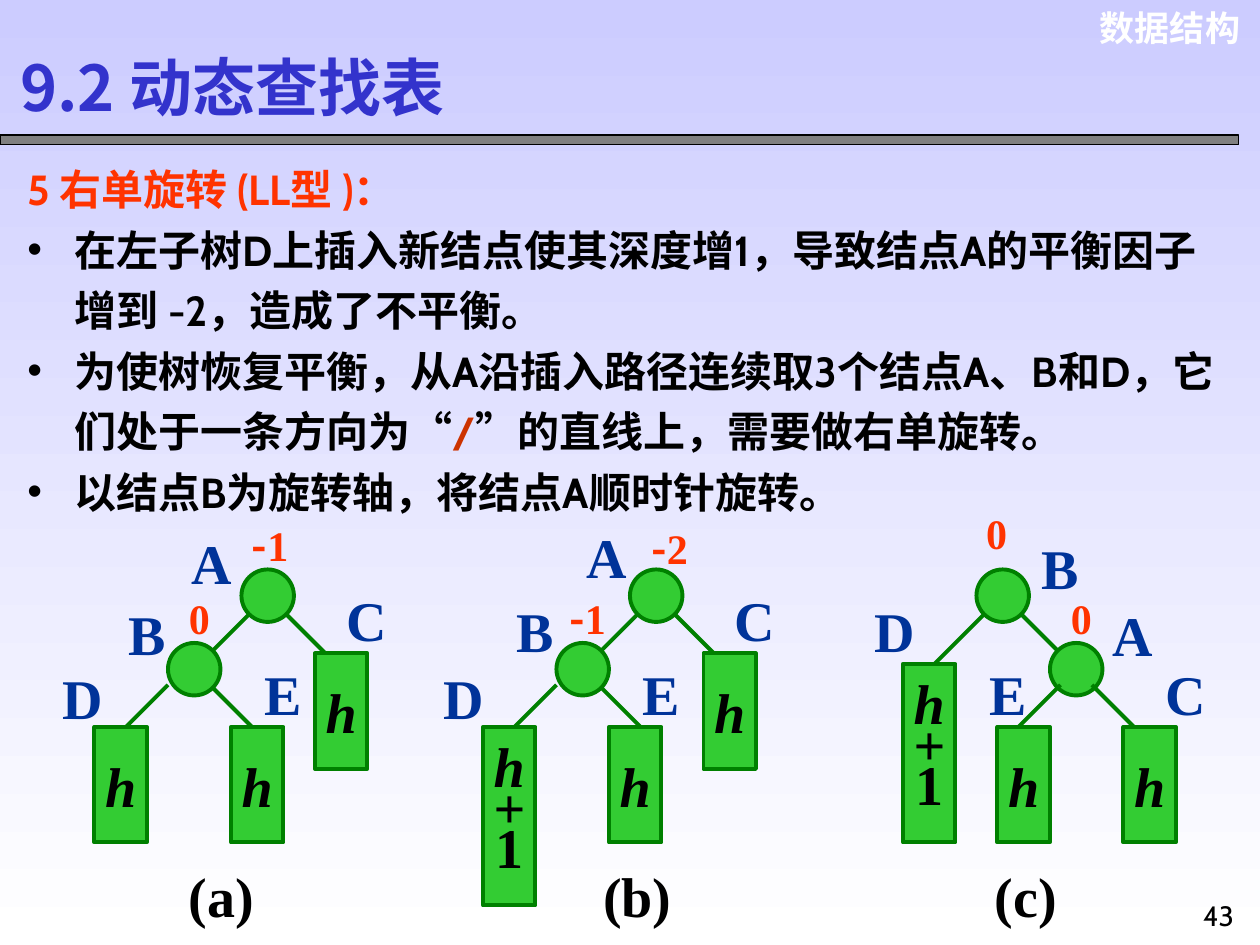
"""Build the slide on the right single rotation (LL type) of a balanced tree."""
from dataclasses import dataclass

from lxml.etree import SubElement
from pptx import Presentation
from pptx.dml.color import RGBColor
from pptx.enum.shapes import MSO_CONNECTOR as Connector, MSO_SHAPE as Preset
from pptx.enum.text import MSO_ANCHOR as Anchor, MSO_AUTO_SIZE as AutoSize, PP_ALIGN as Align
from pptx.oxml.ns import qn
from pptx.util import Cm, Pt


@dataclass(frozen=True)
class Theme:
    sky: str = "CCCCFF"
    white: str = "FFFFFF"
    black: str = "000000"
    bar: str = "808080"
    title: str = "3333CC"
    accent: str = "FF3300"
    slash: str = "CC3300"
    label: str = "003399"
    node: str = "33CC33"
    edge: str = "008000"
    title_size: int = 36
    label_size: int = 32
    body_size: int = 24
    header_size: int = 20
    number_size: int = 16
    serif: str = "Times New Roman"
    sans: str = "Cabin"
    header: str = "Arial"
    chinese: str = "Noto Sans CJK SC"


THEME = Theme()
GRID = 2.54 / 12
TREE_TOP = 11.48
NODE_SIZE = 5
LABEL_WIDTHS = {"A": 1.32, "B": 1.24, "C": 1.32, "D": 1.32, "E": 1.24}

TREES = [
    {
        "caption": ("(a)", 3.56),
        "back_edges": [(25, 3, 20, 8), (26, 3, 32, 9), (16, 11, 11, 16), (20, 11, 26, 17)],
        "nodes": [(23, 0), (16, 7)],
        "front_edges": [],
        "leaves": [(9, 15, "h"), (22, 15, "h"), (30, 8, "h")],
        "labels": [("A", 3.61, 10.52), ("B", 2.34, 11.96), ("C", 6.73, 11.68),
                   ("D", 1.02, 13.26), ("E", 5.08, 13.18)],
        "balances": [("-1", 4.83, 10.34), ("0", 3.56, 11.81)],
    },
    {
        "caption": ("(b)", 11.91),
        "back_edges": [(61, 4, 56, 9), (64, 4, 70, 10), (53, 11, 48, 16), (57, 11, 63, 17)],
        "nodes": [(60, 0), (53, 7)],
        "front_edges": [],
        "leaves": [(46, 15, "h+1"), (58, 15, "h"), (67, 8, "h")],
        "labels": [("A", 11.58, 10.41), ("B", 10.16, 11.91), ("C", 14.55, 11.68),
                   ("D", 8.69, 13.26), ("E", 12.7, 13.18)],
        "balances": [("-2", 12.88, 10.41), ("-1", 11.23, 11.81)],
    },
    {
        "caption": ("(c)", 19.8),
        "back_edges": [(95, 3, 89, 9), (96, 3, 102, 9)],
        "nodes": [(93, 0), (100, 7)],
        "front_edges": [(101, 11, 96, 16), (104, 11, 110, 17)],
        "leaves": [(86, 9, "h+1"), (95, 15, "h"), (107, 15, "h")],
        "labels": [("A", 22.17, 11.99), ("B", 20.75, 10.64), ("C", 23.24, 13.18),
                   ("D", 17.37, 11.91), ("E", 19.69, 13.18)],
        "balances": [("0", 19.63, 10.11), ("0", 21.34, 11.81)],
    },
]

BODY = [
    [("5 右单旋转 (LL型 )：", THEME.accent)],
    [("在左子树D上插入新结点使其深度增1，导致结点A的平衡因子增到 -2，造成了不平衡。", THEME.black)],
    [("为使树恢复平衡，从A沿插入路径连续取3个结点A、B和D，它们处于一条方向为“", THEME.black),
     ("/", THEME.slash), ("”的直线上，需要做右单旋转。", THEME.black)],
    [("以结点B为旋转轴，将结点A顺时针旋转。", THEME.black)],
]


def rgb(code):
    """Turn a hex code into a colour."""
    return RGBColor.from_string(code)


def add_run(paragraph, text, size, color, face, bold=True, italic=False):
    """Append one formatted run."""
    run = paragraph.add_run()
    run.text = text
    font = run.font
    font.size, font.name, font.bold, font.italic = Pt(size), face, bold, italic
    font.color.rgb = rgb(color)
    SubElement(run._r.get_or_add_rPr(), qn("a:ea"), typeface=THEME.chinese)


def add_text(slide, x, y, width, height, pieces, size, color, align=Align.LEFT, bold=True):
    """Add a one-line text box made of (text, face) pieces."""
    frame = slide.shapes.add_textbox(Cm(x), Cm(y), Cm(width), Cm(height)).text_frame
    frame.word_wrap = True
    line = frame.paragraphs[0]
    line.alignment = align
    for text, face in pieces:
        add_run(line, text, size, color, face, bold)


def add_solid(slide, preset, box, fill, outline, weight):
    """Add a filled and outlined preset shape."""
    solid = slide.shapes.add_shape(preset, *[Cm(length) for length in box])
    solid.shadow.inherit = False
    solid.fill.solid()
    solid.fill.fore_color.rgb = rgb(fill)
    solid.line.color.rgb = rgb(outline)
    solid.line.width = Pt(weight)
    return solid


def add_edge(slide, x1, y1, x2, y2):
    """Draw a tree edge between two grid points."""
    ends = [Cm(x1 * GRID), Cm(TREE_TOP + y1 * GRID), Cm(x2 * GRID), Cm(TREE_TOP + y2 * GRID)]
    edge = slide.shapes.add_connector(Connector.STRAIGHT, *ends)
    edge.line.color.rgb = rgb(THEME.edge)
    edge.line.width = Pt(2.25)
    SubElement(edge._element.spPr, qn("a:effectLst"))


def add_tree_part(slide, preset, x, y, height):
    """Add a node or leaf at a grid point."""
    box = (x * GRID, TREE_TOP + y * GRID, NODE_SIZE * GRID, height * GRID)
    return add_solid(slide, preset, box, THEME.node, THEME.edge, 2.25)


def add_leaf(slide, x, y, depth):
    """Add a subtree box with its depth stacked one symbol to a line."""
    leaf = add_tree_part(slide, Preset.RECTANGLE, x, y, 17 if len(depth) > 1 else 11)
    frame = leaf.text_frame
    frame.word_wrap = False
    frame.vertical_anchor = Anchor.MIDDLE
    for index, symbol in enumerate(depth):
        line = frame.add_paragraph() if index else frame.paragraphs[0]
        line.alignment = Align.CENTER
        if len(depth) > 1:
            line.line_spacing = 0.6
        add_run(line, symbol, THEME.label_size, THEME.black, THEME.serif, italic=symbol != "1")


def add_tree(slide, tree):
    """Draw one tree with its labels, balance factors and caption."""
    for edge in tree["back_edges"]:
        add_edge(slide, *edge)
    for x, y in tree["nodes"]:
        add_tree_part(slide, Preset.OVAL, x, y, NODE_SIZE)
    for edge in tree["front_edges"]:
        add_edge(slide, *edge)
    for leaf in tree["leaves"]:
        add_leaf(slide, *leaf)
    for name, x, y in tree["labels"]:
        add_text(slide, x, y, LABEL_WIDTHS[name], 1.63, [(name, THEME.serif)],
                 THEME.label_size, THEME.label)
    for factor, x, y in tree["balances"]:
        pieces = [(sign, THEME.chinese if sign == "-" else THEME.serif) for sign in factor]
        add_text(slide, x, y, 0.91 if len(factor) == 1 else 1.6, 1.27, pieces,
                 THEME.body_size, THEME.accent)
    caption, x = tree["caption"]
    add_text(slide, x, 17.25, 2.2, 1.63, [(caption, THEME.serif)], THEME.label_size, THEME.black)


def place(holder, x, y, width, height):
    """Move a placeholder and return its top-anchored text frame."""
    holder.left, holder.top, holder.width, holder.height = Cm(x), Cm(y), Cm(width), Cm(height)
    frame = holder.text_frame
    frame.auto_size = AutoSize.NONE
    frame.word_wrap = True
    frame.vertical_anchor = Anchor.TOP
    return frame


def fill_body(frame):
    """Write the heading and the bulleted steps."""
    for index, pieces in enumerate(BODY):
        line = frame.add_paragraph() if index else frame.paragraphs[0]
        line.line_spacing, line.space_before = 1.2, Pt(0)
        props = line._p.get_or_add_pPr()
        props.set("marL", str(Cm(0.95)))
        props.set("indent", str(Cm(-0.95)))
        if index:
            SubElement(SubElement(props, qn("a:buClr")), qn("a:srgbClr"), val=THEME.black)
            SubElement(props, qn("a:buFont"), typeface=THEME.header)
            SubElement(props, qn("a:buChar"), char="•")
        else:
            SubElement(props, qn("a:buNone"))
        for text, color in pieces:
            add_run(line, text, THEME.body_size, color, THEME.sans)


def paint_background(slide):
    """Fill the background with a vertical gradient."""
    fill = slide.background.fill
    fill.gradient()
    fill.gradient_angle = 270
    for stop, color in zip(fill.gradient_stops, (THEME.sky, THEME.white)):
        stop.color.rgb = rgb(color)


def main():
    """Build and save the slide."""
    deck = Presentation()
    deck.slide_width, deck.slide_height = Cm(25.4), Cm(19.05)
    slide = deck.slides.add_slide(deck.slide_layouts[1])
    paint_background(slide)
    add_text(slide, 21.77, 0, 3.48, 1.12, [("数据结构", THEME.header)],
             THEME.header_size, THEME.white, Align.RIGHT)
    add_solid(slide, Preset.RECTANGLE, (0, 2.72, 24.97, 0.2), THEME.bar, THEME.black, 0.75)
    heading = place(slide.shapes.title, 0.15, 0.86, 10, 3.3).paragraphs[0]
    heading.alignment = Align.LEFT
    add_run(heading, "9.2 动态查找表", THEME.title_size, THEME.title, THEME.chinese)
    fill_body(place(slide.placeholders[1], 0.3, 2.97, 24.82, 7.98))
    for tree in TREES:
        add_tree(slide, tree)
    add_text(slide, 23.93, 17.98, 1.27, 1.07, [("43", THEME.sans)],
             THEME.number_size, THEME.black, Align.CENTER, bold=False)
    deck.save("out.pptx")


if __name__ == "__main__":
    main()
